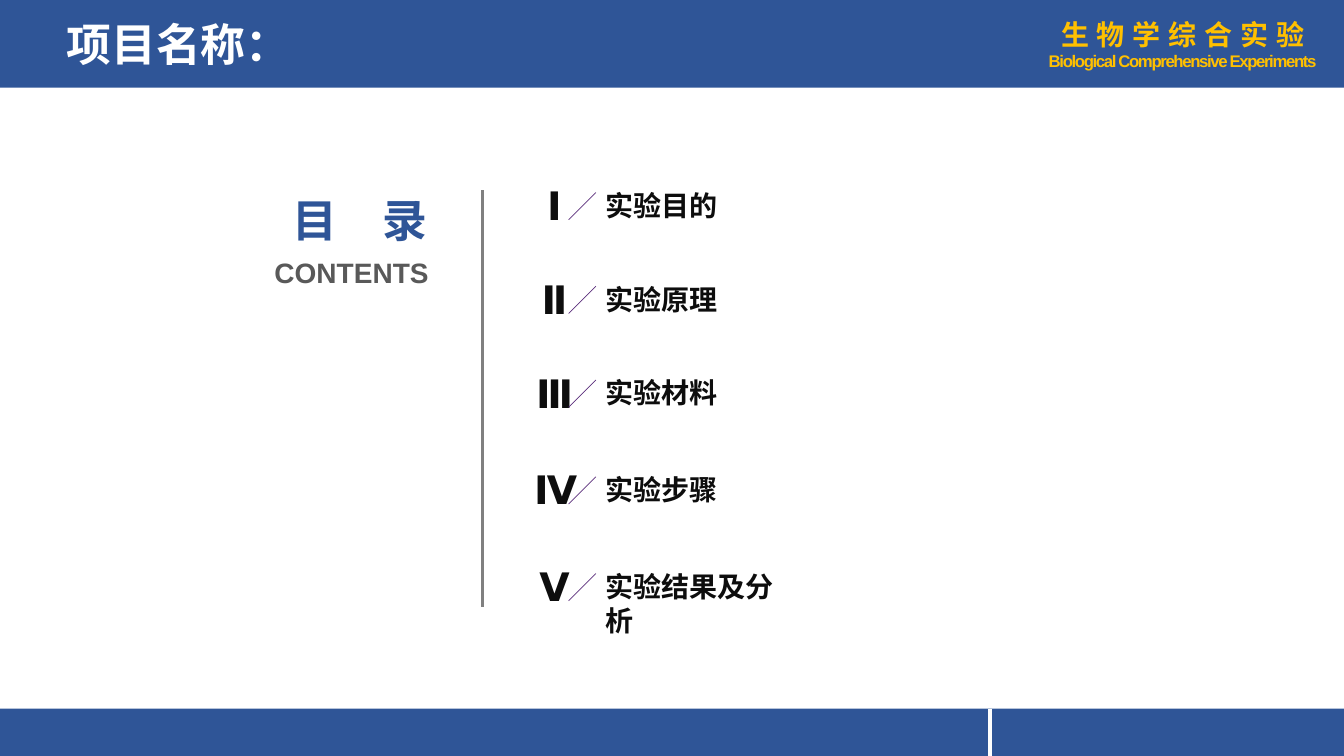
from lxml.etree import SubElement
from pptx import Presentation
from pptx.dml.color import RGBColor
from pptx.enum.shapes import MSO_CONNECTOR, MSO_SHAPE
from pptx.enum.text import MSO_ANCHOR, PP_ALIGN
from pptx.oxml.ns import qn
from pptx.util import Inches, Pt

COLORS = {
    "blue": "2F5597",
    "white": "FFFFFF",
    "gold": "FFC000",
    "dark": "0D0D0D",
    "grey": "595959",
    "divider": "808080",
    "purple": "5C307D",
}

deck = Presentation()
deck.slide_width = Inches(13.33)
deck.slide_height = Inches(7.5)
page = deck.slides.add_slide(deck.slide_layouts[6])


def add_text(position, lines, font, color, align=PP_ALIGN.LEFT, wrap=True):
    """Add a bold text box; lines holds (text, size, letter spacing in points)."""
    box = page.shapes.add_textbox(*(Inches(length) for length in position))
    frame = box.text_frame
    frame.word_wrap = wrap
    for index, (text, size, spacing) in enumerate(lines):
        para = frame.add_paragraph() if index else frame.paragraphs[0]
        para.text = text
        para.alignment = align
        para.font.size = Pt(size)
        para.font.bold = True
        para.font.color.rgb = RGBColor.from_string(COLORS[color])
        para.font.name = font
        properties = para._p.pPr.find(qn("a:defRPr"))
        SubElement(properties, qn("a:ea")).set("typeface", font)
        if spacing:
            properties.set("spc", str(spacing * 100))
    return frame


def add_line(start_x, start_y, end_x, end_y, color, width):
    line = page.shapes.add_connector(
        MSO_CONNECTOR.STRAIGHT,
        Inches(start_x), Inches(start_y), Inches(end_x), Inches(end_y))
    line.line.color.rgb = RGBColor.from_string(COLORS[color])
    line.line.width = Pt(width)
    SubElement(line._element.spPr, qn("a:effectLst"))


# Header and footer bands
for top, height in ((0, 0.87), (7.03, 0.47)):
    band = page.shapes.add_shape(
        MSO_SHAPE.RECTANGLE, 0, Inches(top), deck.slide_width, Inches(height))
    band.shadow.inherit = False
    band.fill.solid()
    band.fill.fore_color.rgb = RGBColor.from_string(COLORS["blue"])
    band.line.fill.background()
add_line(9.82, 7.03, 9.82, 7.5, "white", 3)

# Header text
title = add_text((0.56, 0.07, 9.71, 0.79), [("项目名称：", 32, 0)], "Arial", "white")
title.vertical_anchor = MSO_ANCHOR.MIDDLE
title.paragraphs[0].line_spacing = 0.9
add_text((10.12, 0.12, 3.22, 0.64),
         [("生 物 学 综 合 实 验", 20, 0),
          ("Biological Comprehensive Experiments", 12, -1)],
         "Arial", "gold", PP_ALIGN.CENTER)

# Contents heading and divider
add_text((2.71, 1.86, 1.63, 0.64), [("目　录", 32, 0)],
         "Noto Sans CJK SC", "blue", PP_ALIGN.RIGHT, wrap=False)
add_text((2.04, 2.49, 2.31, 0.44), [("CONTENTS", 20, 0)],
         "Arial", "grey", PP_ALIGN.RIGHT)
add_line(4.79, 1.89, 4.79, 6.02, "divider", 2.25)

# Contents entries: numeral, slash and label
entries = [
    (1.75, "Ⅰ", "实验目的", 1.32),
    (2.68, "Ⅱ", "实验原理", 1.32),
    (3.61, "Ⅲ", "实验材料", 1.32),
    (4.57, "Ⅳ", "实验步骤", 1.32),
    (5.53, "Ⅴ", "实验结果及分析", 2.1),
]
for top, numeral, label, width in entries:
    add_text((5.2, top, 0.6, 0.57), [(numeral, 28, 0)],
             "Montserrat", "dark", PP_ALIGN.CENTER, wrap=False)
    add_line(5.91, top + 0.16, 5.64, top + 0.43, "purple", 0.5)
    add_text((5.91, top + 0.07, width, 0.44), [(label, 20, 0)],
             "Noto Sans CJK SC", "dark")

deck.save("out.pptx")
